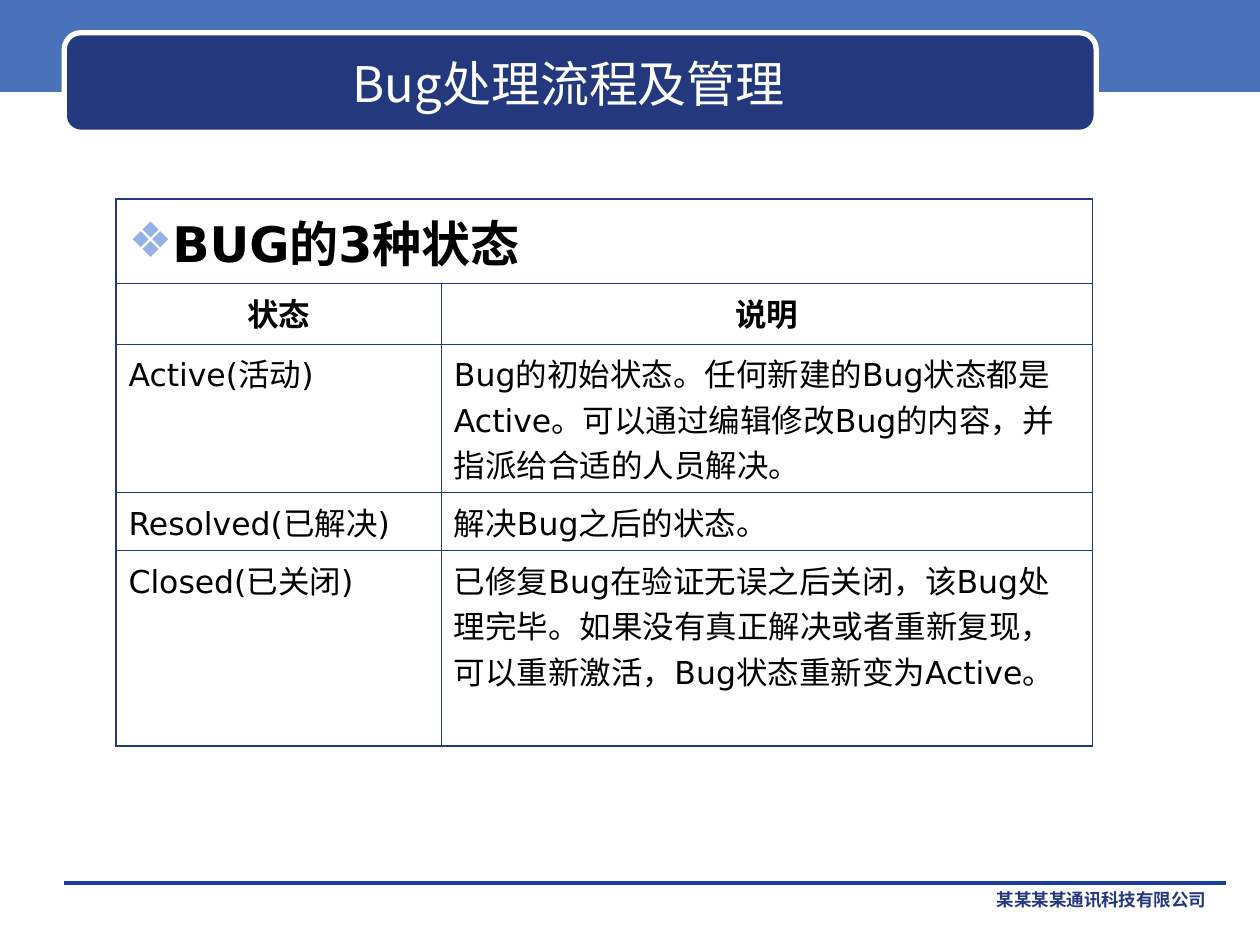
import pptx
import pptx.dml.color
import pptx.enum.shapes
import pptx.enum.text
import pptx.oxml
import pptx.oxml.ns
import pptx.util
from pptx.util import Inches

COLORS = {"band": "4972BB", "navy": "23387D", "rule": "1A3D97",
          "white": "FFFFFF", "black": "000000", "bullet": "96B1E6"}
CJK_FONT = "Noto Sans CJK SC"
ALIGN = pptx.enum.text.PP_ALIGN
ANCHOR = pptx.enum.text.MSO_ANCHOR
SHAPE = pptx.enum.shapes.MSO_SHAPE
NAMESPACE = pptx.oxml.ns.nsdecls("a")

TITLE_FORMAT = {"size": pptx.util.Pt(28), "name": CJK_FONT, "bold": False}
HEADING_FORMAT = {"size": pptx.util.Pt(28), "name": "DejaVu Sans", "bold": True}
HEADER_FORMAT = {"size": pptx.util.Pt(18), "name": "DejaVu Sans", "bold": True}
BODY_FORMAT = {**HEADER_FORMAT, "bold": False}
COMPANY_FORMAT = {"size": pptx.util.Pt(10), "name": "Montserrat", "bold": True}

STATES = [
    ("状态", "说明"),
    ("Active(活动)", "Bug的初始状态。任何新建的Bug状态都是Active。可以通过编辑修改Bug的内容，并指派给合适的人员解决。"),
    ("Resolved(已解决)", "解决Bug之后的状态。"),
    ("Closed(已关闭)", "已修复Bug在验证无误之后关闭，该Bug处理完毕。如果没有真正解决或者重新复现，可以重新激活，Bug状态重新变为Active。"),
]


def rgb(name):
    """Return the named palette colour."""
    return pptx.dml.color.RGBColor.from_string(COLORS[name])


def write(frame, text, font_format, color, align=ALIGN.LEFT, before=0):
    """Put one formatted paragraph into a text frame and return it."""
    frame.word_wrap = True
    paragraph = frame.paragraphs[0]
    paragraph.alignment = align
    paragraph.space_before = pptx.util.Pt(before)
    run = paragraph.add_run()
    run.text = text
    for attribute, value in font_format.items():
        setattr(run.font, attribute, value)
    run.font.color.rgb = rgb(color)
    run.font._element.find(pptx.oxml.ns.qn("a:latin")).addnext(
        pptx.oxml.parse_xml(f'<a:ea {NAMESPACE} typeface="{CJK_FONT}"/>'))
    return paragraph


def add_label(slide, box, text, font_format, color, align):
    """Add a vertically centred text box."""
    frame = slide.shapes.add_textbox(*box).text_frame
    frame.vertical_anchor = ANCHOR.MIDDLE
    write(frame, text, font_format, color, align)


def add_panel(slide, kind, box, fill):
    """Add a plain filled shape without outline or shadow."""
    panel = slide.shapes.add_shape(kind, *box)
    panel.shadow.inherit = False
    panel.fill.solid()
    panel.fill.fore_color.rgb = rgb(fill)
    panel.line.fill.background()
    return panel


def add_header(slide, left, top, width, height):
    """Draw the top band and the rounded title plate over it."""
    add_panel(slide, SHAPE.RECTANGLE, (left, top, width, height), "band")
    plate = add_panel(slide, SHAPE.ROUNDED_RECTANGLE,
                      (left + Inches(0.51), top + Inches(0.29), Inches(8.19), Inches(0.79)), "navy")
    plate.line.color.rgb = rgb("white")
    plate.line.width = pptx.util.Pt(3)
    add_label(slide, (left + Inches(0.6), top + Inches(0.38), Inches(7.83), Inches(0.62)),
              "Bug处理流程及管理", TITLE_FORMAT, "white", ALIGN.CENTER)


def add_bullet(paragraph):
    """Give a paragraph the coloured diamond bullet."""
    properties = paragraph._p.get_or_add_pPr()
    for tag in (f'<a:buClr {NAMESPACE}><a:srgbClr val="{COLORS["bullet"]}"/></a:buClr>',
                f'<a:buFont {NAMESPACE} typeface="DejaVu Sans"/>',
                f'<a:buChar {NAMESPACE} char="❖"/>'):
        properties.append(pptx.oxml.parse_xml(tag))


def set_borders(cell, outer_sides):
    """Clear the cell fill and draw heavier lines on its outer sides."""
    cell.fill.background()
    properties = cell._tc.get_or_add_tcPr()
    for index, side in enumerate("LRTB"):
        width = pptx.util.Pt(1.08 if side in outer_sides else 0.45)
        properties.insert(index, pptx.oxml.parse_xml(
            f'<a:ln{side} {NAMESPACE} w="{int(width)}"><a:solidFill>'
            f'<a:srgbClr val="{COLORS["navy"]}"/></a:solidFill></a:ln{side}>'))


def add_state_table(slide, left, top, width, height):
    """Build the table of bug states under a merged heading row."""
    table = slide.shapes.add_table(len(STATES) + 1, 2, left, top, width, height).table
    table.first_row = table.horz_banding = False
    for column, share in zip(table.columns, (1 / 3, 2 / 3)):
        column.width = int(width * share)
    for row, row_height in zip(table.rows, (0.67, 0.48, 1.18, 0.46, 1.55)):
        row.height = Inches(row_height)
    last_row = len(STATES)
    for row in range(last_row + 1):
        for column in range(2):
            outer = "LR"[column] + ("T" if row == 0 else "") + ("B" if row == last_row else "")
            set_borders(table.cell(row, column), outer)
    heading = table.cell(0, 0)
    heading.merge(table.cell(0, 1))
    add_bullet(write(heading.text_frame, "BUG的3种状态", HEADING_FORMAT, "black", before=7))
    for row, entries in enumerate(STATES, 1):
        font_format, align = (HEADER_FORMAT, ALIGN.CENTER) if row == 1 else (BODY_FORMAT, ALIGN.LEFT)
        for column, text in enumerate(entries):
            write(table.cell(row, column).text_frame, text, font_format, "black", align, 4.5)


def add_footer(slide, left, top, width, height):
    """Draw the footer rule and the company name below its right end."""
    rule = slide.shapes.add_connector(pptx.enum.shapes.MSO_CONNECTOR.STRAIGHT,
                                      left, top, left + width, top)
    rule.line.color.rgb = rgb("rule")
    rule.line.width = pptx.util.Pt(0)
    rule._element.spPr.append(pptx.oxml.parse_xml(f"<a:effectLst {NAMESPACE}/>"))
    name_width = Inches(3.17)
    add_label(slide, (left + width - Inches(0.06) - name_width, top, name_width, height),
              "某某某某通讯科技有限公司", COMPANY_FORMAT, "navy", ALIGN.RIGHT)


def main():
    """Build the slide and save it."""
    deck = pptx.Presentation()
    deck.slide_width, deck.slide_height = Inches(10), Inches(7.5)
    slide = deck.slides.add_slide(deck.slide_layouts[6])
    add_header(slide, Inches(0), Inches(-0.03), Inches(10), Inches(0.76))
    add_state_table(slide, Inches(0.92), Inches(1.58), Inches(7.75), Inches(4.34))
    add_footer(slide, Inches(0.51), Inches(7.01), Inches(9.22), Inches(0.25))
    deck.save("out.pptx")


if __name__ == "__main__":
    main()
